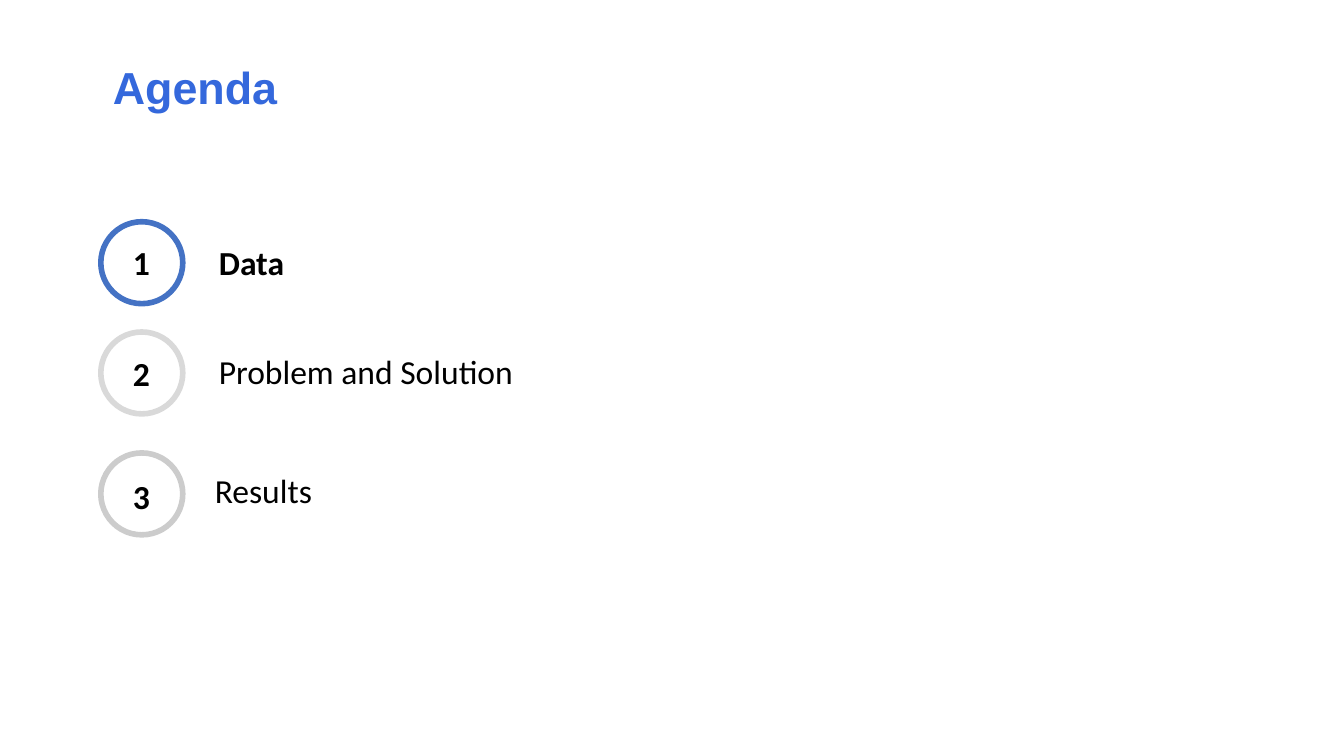
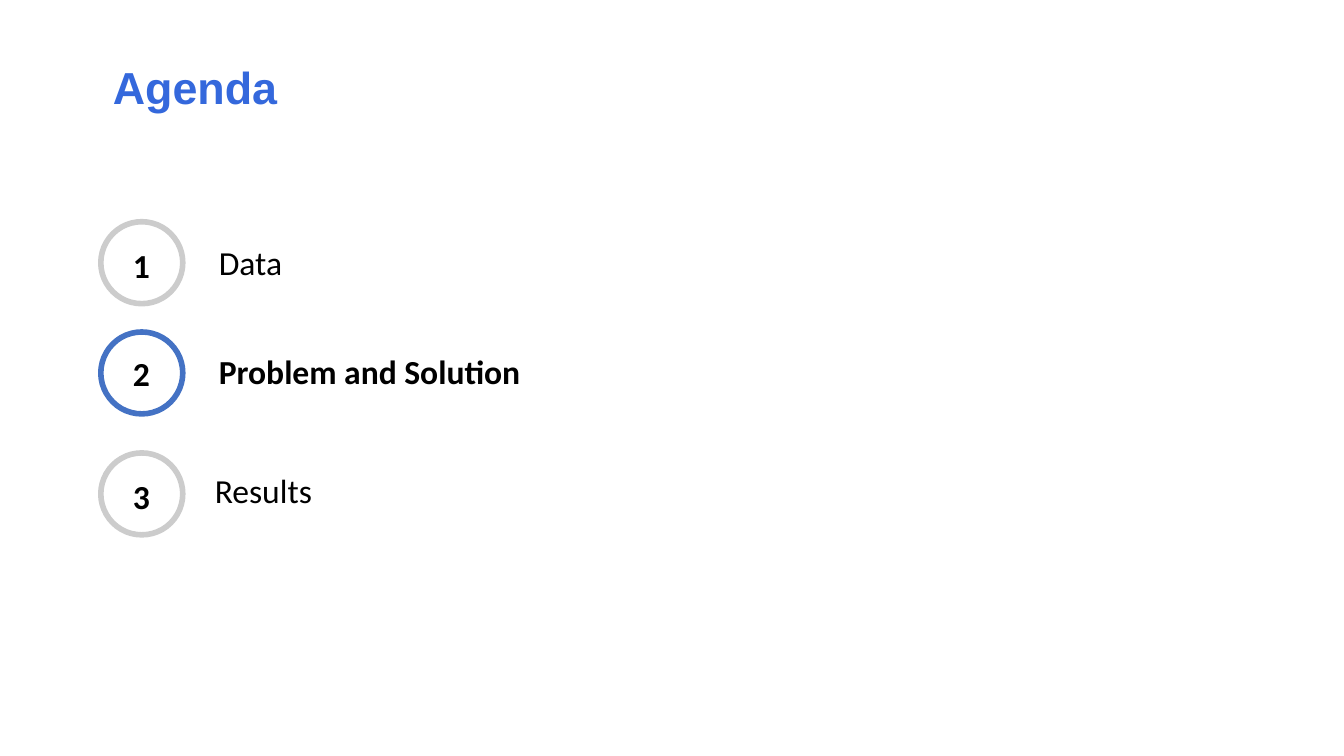
from collections import namedtuple
from dataclasses import dataclass

from pptx import Presentation
from pptx.dml.color import RGBColor as RGB
from pptx.enum.shapes import MSO_SHAPE as Shape
from pptx.enum.text import MSO_ANCHOR as Anchor, MSO_AUTO_SIZE as Fit
from pptx.util import Inches, Pt


@dataclass(frozen=True)
class Theme:
    """Colours, fonts and sizes shared by the slides."""
    title: str = "3468DC"
    ink: str = "000000"
    paper: str = "FFFFFF"
    active: str = "4472C4"
    idle: str = "CCCCCC"
    pale: str = "D9D9D9"
    head: str = "Arial"
    body: str = "Calibri"
    big: int = 24
    mid: int = 18
    ring: int = 3


THEME = Theme()
Box = namedtuple("Box", "left top width height")
Topic = namedtuple("Topic", "label top shift drop width")
Mark = namedtuple("Mark", "tone drop fill", defaults=(0.12, True))

TITLE = Box(0.81, 0.46, 6.79, 0.42)
LIST = Box(0.75, 1.65, 7.25, 2.33)
DISC = 0.61
LINE = 0.4
TOPICS = (
    Topic("Data", 0, 0.78, 0.1, 5.75),
    Topic("Problem and Solution", 0.82, 0.78, 0.09, 6.47),
    Topic("Results", 1.72, 0.75, 0.08, 4.93),
)
AGENDAS = (
    (Mark(THEME.active, 0.1, False), Mark(THEME.pale, 0.11), Mark(THEME.idle)),
    (Mark(THEME.idle), Mark(THEME.active, 0.11), Mark(THEME.idle)),
)


def add_text(shapes, box, text, *, font=THEME.body, size=THEME.mid, color=THEME.ink,
             bold=False, inset=None, right=None, anchor=Anchor.TOP, fit=Fit.SHAPE_TO_FIT_TEXT,
             space=None):
    """Add a wrapped text box in the given format."""
    frame = shapes.add_textbox(*map(Inches, box)).text_frame
    frame.word_wrap = True
    frame.auto_size = fit
    frame.vertical_anchor = anchor
    if inset is not None:
        frame.margin_left = frame.margin_right = Inches(inset)
        frame.margin_top = frame.margin_bottom = Inches(inset)
    if right is not None:
        frame.margin_right = Inches(right)
    para = frame.paragraphs[0]
    para.line_spacing = space
    run = para.add_run()
    run.text = text
    run.font.name, run.font.size, run.font.bold = font, Pt(size), bold
    run.font.color.rgb = RGB.from_string(color)


def add_title(slide, box, text):
    """Add the slide title."""
    add_text(slide.shapes, box, text, font=THEME.head, size=THEME.big, color=THEME.title,
             bold=True, inset=0.03, anchor=Anchor.MIDDLE, fit=Fit.NONE, space=0.9)


def add_badge(slide, box, text, mark):
    """Add a ringed number as one group."""
    shapes = slide.shapes.add_group_shape().shapes
    disc = shapes.add_shape(Shape.OVAL, *map(Inches, box))
    disc.shadow.inherit = False
    if mark.fill:
        disc.fill.solid()
        disc.fill.fore_color.rgb = RGB.from_string(THEME.paper)
    else:
        disc.fill.background()
    disc.line.color.rgb = RGB.from_string(mark.tone)
    disc.line.width = Pt(THEME.ring)
    add_text(shapes, Box(box.left + 0.14, box.top + mark.drop, 0.24, LINE), text,
             bold=True, right=0)


def add_badges(slide, box, marks):
    """Add the column of ringed numbers."""
    for num, (topic, mark) in enumerate(zip(TOPICS, marks), 1):
        add_badge(slide, Box(box.left, box.top + topic.top, DISC, DISC), str(num), mark)


def add_labels(slide, box, marks):
    """Add the topic names and stress the active one."""
    for topic, mark in zip(TOPICS, marks):
        place = Box(box.left + topic.shift, box.top + topic.top + topic.drop, topic.width, LINE)
        add_text(slide.shapes, place, topic.label, bold=mark.tone == THEME.active)


def add_agenda(deck, marks):
    """Add one agenda slide."""
    slide = deck.slides.add_slide(deck.slide_layouts[6])
    add_badges(slide, LIST, marks)
    add_labels(slide, LIST, marks)
    add_title(slide, TITLE, "Agenda")


def main():
    """Build and save the deck."""
    deck = Presentation()
    deck.slide_width = Inches(10)
    deck.slide_height = Inches(10) * 9 // 16
    for marks in AGENDAS:
        add_agenda(deck, marks)
    deck.save("out.pptx")


if __name__ == "__main__":
    main()
